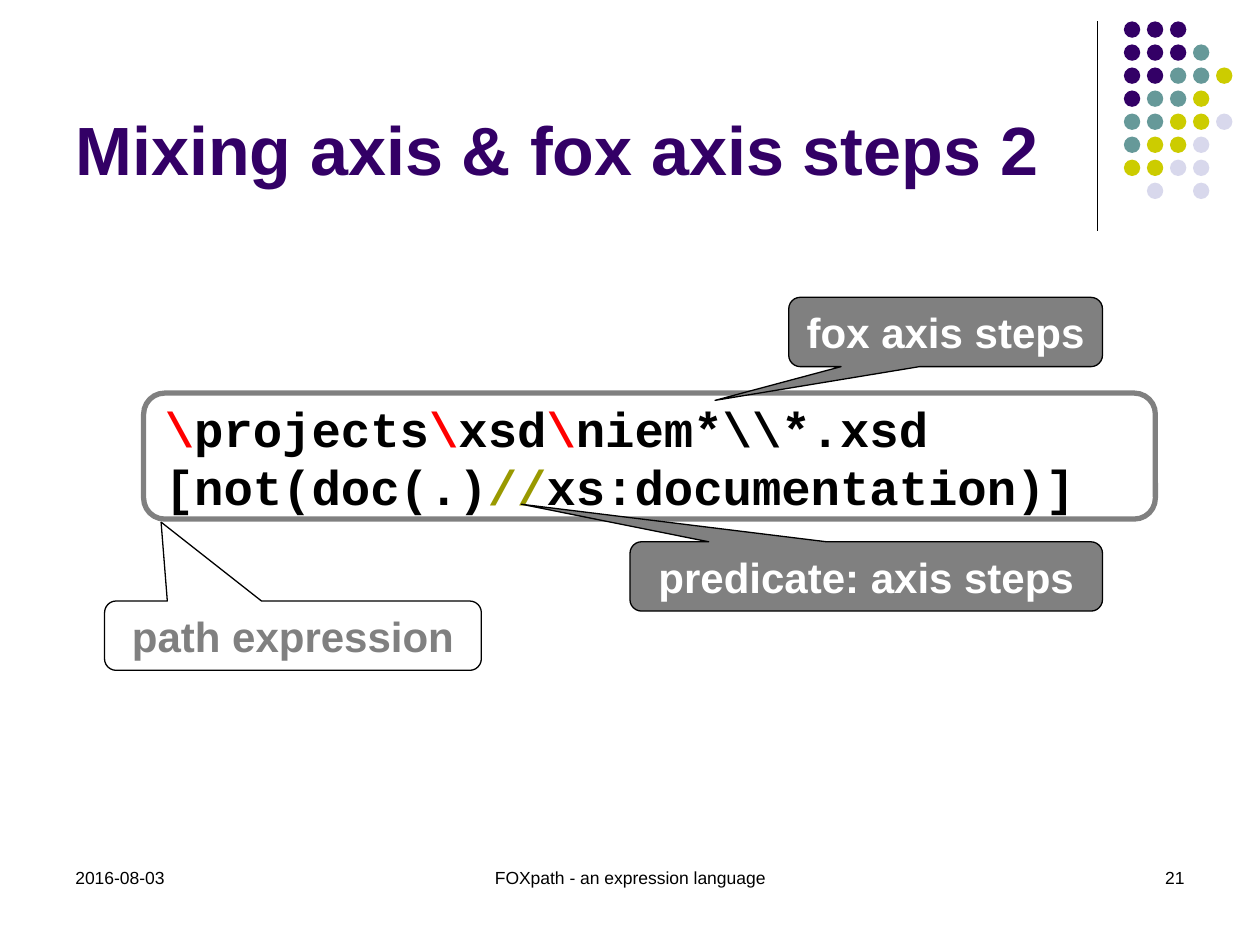
from lxml.etree import SubElement
from pptx import Presentation
from pptx.dml.color import RGBColor
from pptx.enum.shapes import MSO_CONNECTOR, MSO_SHAPE
from pptx.enum.text import MSO_ANCHOR, PP_ALIGN
from pptx.oxml.ns import qn
from pptx.util import Inches, Pt


def color(value):
    return RGBColor.from_string(value)


def write(para, pieces, size, bold=False, font="Arial"):
    for text, shade in pieces:
        span = para.add_run()
        span.text = text
        span.font.name = font
        span.font.size = Pt(size)
        span.font.bold = bold
        span.font.color.rgb = color(shade)


deck = Presentation()
deck.slide_width = Inches(10)
deck.slide_height = Inches(7.5)
page = deck.slides.add_slide(deck.slide_layouts[6])

divider = page.shapes.add_connector(
    MSO_CONNECTOR.STRAIGHT, Inches(8.71), Inches(0.17), Inches(8.71), Inches(1.83)
)
divider.line.color.rgb = color("000000")
divider.line.width = Pt(0.75)
SubElement(divider.element.spPr, qn("a:effectLst"))

dot_colors = {"P": "330066", "T": "669999", "Y": "CCCC00", "L": "D8D8EC"}
dot_rows = ["PPP", "PPPT", "PPTTY", "PTTY", "TTYYL", "TYYL", "YYLL", " L L"]
dot_step = 1.28 / 7
dots = page.shapes.add_group_shape()
for row, letters in enumerate(dot_rows):
    for column, letter in enumerate(letters):
        if letter == " ":
            continue
        dot = dots.shapes.add_shape(
            MSO_SHAPE.OVAL,
            Inches(8.92 + column * dot_step),
            Inches(0.17 + row * dot_step),
            Inches(0.13),
            Inches(0.13),
        )
        dot.shadow.inherit = False
        dot.fill.solid()
        dot.fill.fore_color.rgb = color(dot_colors[letter])
        dot.line.fill.background()

frame = page.shapes.add_shape(
    MSO_SHAPE.ROUNDED_RECTANGLE, Inches(1.14), Inches(3.12), Inches(8.03), Inches(1)
)
frame.shadow.inherit = False
frame.fill.solid()
frame.fill.fore_color.rgb = color("FFFFFF")
frame.line.color.rgb = color("808080")
frame.line.width = Pt(3)

title = page.shapes.add_textbox(Inches(0.5), Inches(0.13), Inches(8.25), Inches(1.42))
title.text_frame.word_wrap = True
title.text_frame.vertical_anchor = MSO_ANCHOR.BOTTOM
write(title.text_frame.paragraphs[0], [("Mixing axis & fox axis steps 2", "330066")], 39, True)

footers = [
    ("2016-08-03", 0.5, 2.33, PP_ALIGN.LEFT),
    ("FOXpath - an expression language", 3.19, 3.62, PP_ALIGN.CENTER),
    ("21", 7.17, 2.33, PP_ALIGN.RIGHT),
]
for text, left, width, alignment in footers:
    footer = page.shapes.add_textbox(Inches(left), Inches(6.83), Inches(width), Inches(0.5))
    footer.text_frame.word_wrap = True
    para = footer.text_frame.paragraphs[0]
    para.alignment = alignment
    write(para, [(text, "000000")], 10)

code_lines = [
    [
        ("\\", "FF0000"),
        ("projects", "000000"),
        ("\\", "FF0000"),
        ("xsd", "000000"),
        ("\\", "FF0000"),
        ("niem*\\\\*.xsd", "000000"),
    ],
    [("[not(doc(.)", "000000"), ("//", "999900"), ("xs:documentation)]", "000000")],
]
code = page.shapes.add_textbox(Inches(1.21), Inches(3.11), Inches(7.49), Inches(1))
code.text_frame.word_wrap = False
write(code.text_frame.paragraphs[0], code_lines[0], 28, True, "Courier New")
write(code.text_frame.add_paragraph(), code_lines[1], 28, True, "Courier New")

callouts = [
    ("fox axis steps", 6.26, 2.36, 2.49, (-0.735, 0.987), "808080", "FFFFFF"),
    ("predicate: axis steps", 5, 4.3, 3.75, (-0.73, -1.042), "808080", "FFFFFF"),
    ("path expression", 0.83, 4.77, 2.99, (-0.35, -1.639), "FFFFFF", "808080"),
]
for text, left, top, width, tip, fill, text_color in callouts:
    callout = page.shapes.add_shape(
        MSO_SHAPE.ROUNDED_RECTANGULAR_CALLOUT,
        Inches(left), Inches(top), Inches(width), Inches(0.55),
    )
    callout.adjustments[0], callout.adjustments[1] = tip
    callout.shadow.inherit = False
    callout.fill.solid()
    callout.fill.fore_color.rgb = color(fill)
    callout.line.color.rgb = color("000000")
    callout.line.width = Pt(0.75)
    callout.text_frame.word_wrap = True
    callout.text_frame.vertical_anchor = MSO_ANCHOR.TOP
    para = callout.text_frame.paragraphs[0]
    para.alignment = PP_ALIGN.CENTER
    para.space_before = Pt(4.5)
    write(para, [(text, text_color)], 24, True)

deck.save("out.pptx")
